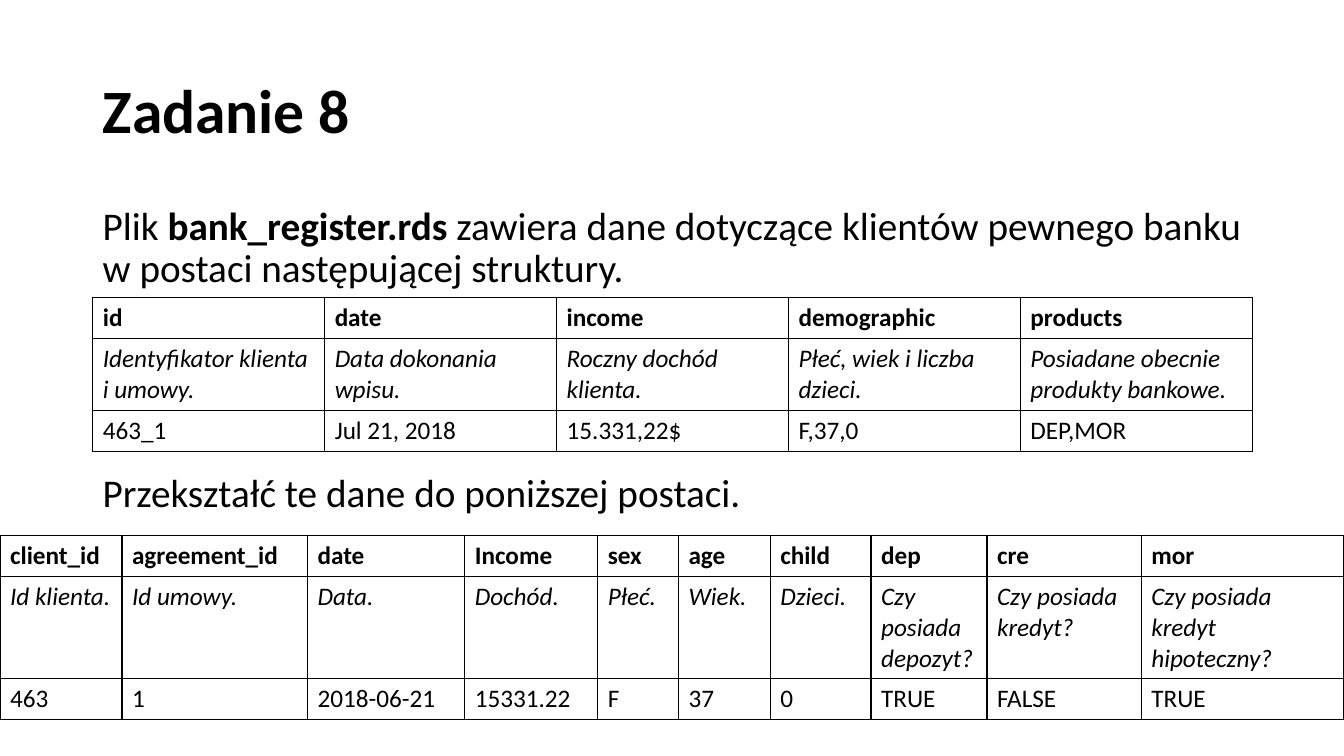
"""Build the "Zadanie 8" slide: a task text with the source and target tables."""
from dataclasses import dataclass

from lxml import etree
from pptx import Presentation
from pptx import util as u
from pptx.dml.color import RGBColor
from pptx.enum import text
from pptx.oxml.ns import qn

PX = 9144


@dataclass(frozen=True)
class Theme:
    """Colours, font and type sizes."""
    ink: str = "000000"
    font: str = "Calibri"
    title: int = 44
    body: int = 28
    cell: int = 18
    border: int = 1


T = Theme()


def add_run(p, words, size, **style):
    """Add a run of text in the theme font and colour."""
    r = p.add_run()
    r.text = words
    look = {"name": T.font, "size": u.Pt(size), "bold": False, "italic": False}
    for key, value in (look | style).items():
        setattr(r.font, key, value)
    r.font.color.rgb = RGBColor.from_string(T.ink)


def add_borders(cell):
    """Draw the four thin sides of a table cell."""
    tc_pr = cell._tc.get_or_add_tcPr()
    for i, side in enumerate(("lnL", "lnR", "lnT", "lnB")):
        ln = etree.Element(qn(f"a:{side}"), w=str(u.Pt(T.border)))
        fill = etree.SubElement(ln, qn("a:solidFill"))
        etree.SubElement(fill, qn("a:srgbClr"), val=T.ink)
        tc_pr.insert(i, ln)


prs = Presentation()
prs.slide_width, prs.slide_height = 1333 * PX, 750 * PX
s = prs.slides.add_slide(prs.slide_layouts[5])

title = s.shapes.title
box = {"left": 92, "top": 40, "width": 1150, "height": 145}
for key, value in box.items():
    setattr(title, key, value * PX)
tf = title.text_frame
tf.vertical_anchor = text.MSO_ANCHOR.MIDDLE
p = tf.paragraphs[0]
p.alignment = text.PP_ALIGN.LEFT
p.line_spacing = 0.9
add_run(p, "Zadanie 8", T.title, bold=True)

body = s.shapes.add_textbox(92 * PX, 200 * PX, 1150 * PX, 476 * PX)
tf = body.text_frame
tf.word_wrap = True
task = [
    (10, [("Plik ", False), ("bank_register.rds", True),
          (" zawiera dane dotyczące klientów pewnego banku "
           "w postaci następującej struktury.", False)]),
    (130, [("Przekształć te dane do poniższej postaci.", False)]),
]
for i, (gap, runs) in enumerate(task):
    p = tf.add_paragraph() if i else tf.paragraphs[0]
    p.line_spacing = 0.9
    p.space_before = u.Pt(gap)
    for words, bold in runs:
        add_run(p, words, T.body, bold=bold)

tables = [
    (92, 295, [230] * 5, [41, 71, 41], [
        ["id", "date", "income", "demographic", "products"],
        ["Identyfikator klienta i umowy.", "Data dokonania wpisu.",
         "Roczny dochód klienta.", "Płeć, wiek i liczba dzieci.",
         "Posiadane obecnie produkty bankowe."],
        ["463_1", "Jul 21, 2018", "15.331,22$", "F,37,0", "DEP,MOR"],
    ]),
    (0, 531, [121, 184, 156, 132, 80, 91, 100, 115, 153, 201], [41, 101, 41], [
        ["client_id", "agreement_id", "date", "Income", "sex", "age", "child",
         "dep", "cre", "mor"],
        ["Id klienta.", "Id umowy.", "Data.", "Dochód.", "Płeć.", "Wiek.",
         "Dzieci.", "Czy posiada depozyt?", "Czy posiada kredyt?",
         "Czy posiada kredyt hipoteczny?"],
        ["463", "1", "2018-06-21", "15331.22", "F", "37", "0",
         "TRUE", "FALSE", "TRUE"],
    ]),
]
row_styles = [{"bold": True}, {"italic": True}, {}]
for left, top, widths, heights, rows in tables:
    frame = s.shapes.add_table(len(rows), len(widths), left * PX, top * PX,
                               sum(widths) * PX, sum(heights) * PX)
    tbl = frame.table
    tbl.first_row = tbl.horz_banding = False
    for col, width in zip(tbl.columns, widths):
        col.width = width * PX
    for row, height, values, style in zip(tbl.rows, heights, rows, row_styles):
        row.height = height * PX
        for cell, value in zip(row.cells, values):
            cell.fill.background()
            add_borders(cell)
            add_run(cell.text_frame.paragraphs[0], value, T.cell, **style)

prs.save("out.pptx")
